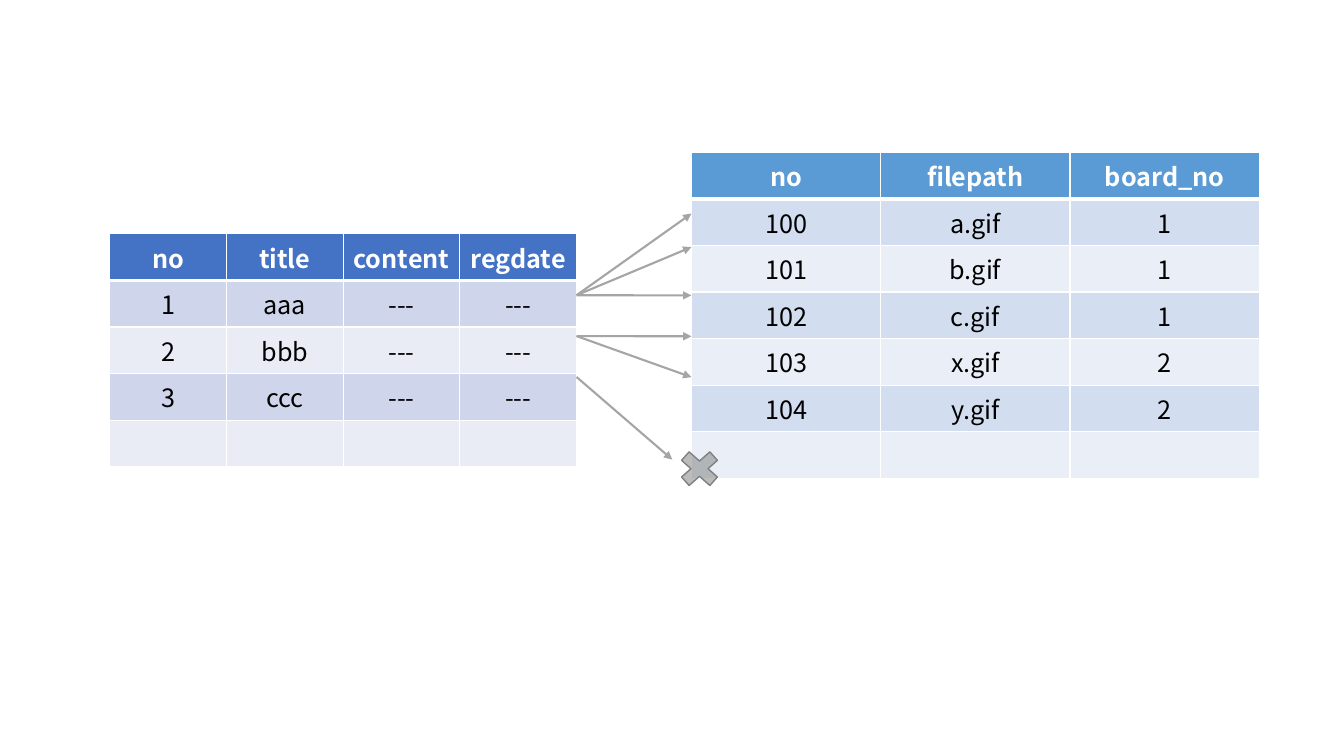
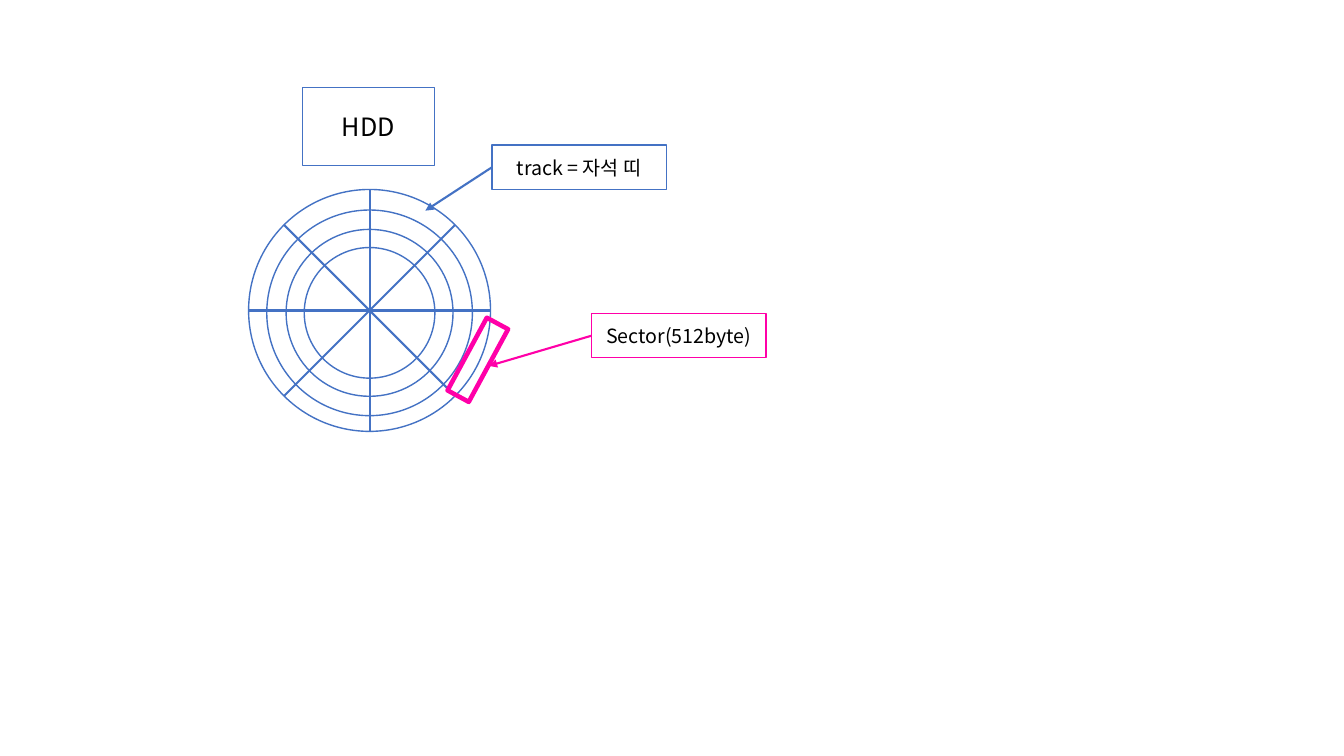
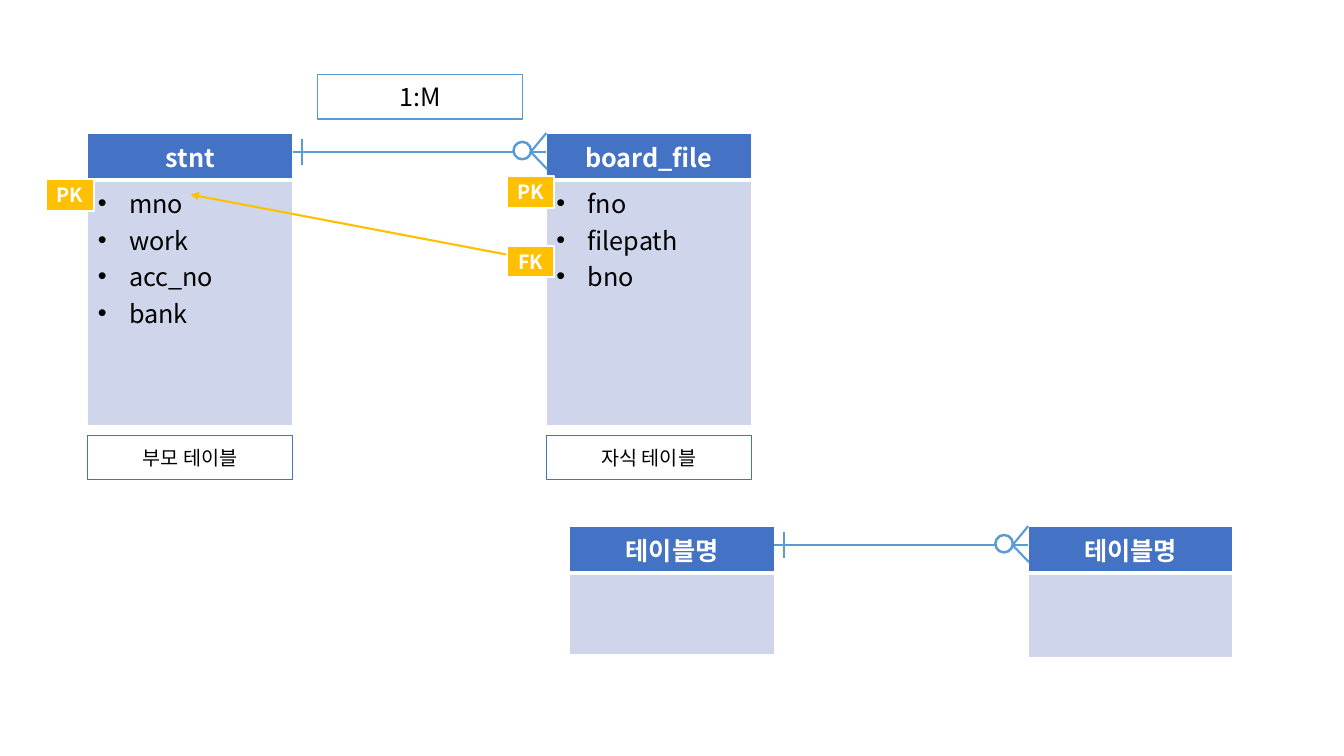
import math

import lxml.etree
import pptx
import pptx.dml.color
import pptx.enum.shapes
import pptx.enum.text
import pptx.oxml.ns
import pptx.text.text
import pptx.util

RGBColor = pptx.dml.color.RGBColor
SHAPE = pptx.enum.shapes.MSO_SHAPE
ALIGN = pptx.enum.text.PP_ALIGN
qn = pptx.oxml.ns.qn

# Shared style
WHITE = RGBColor(0xFF, 0xFF, 0xFF)
BLACK = RGBColor(0x00, 0x00, 0x00)
BLUE = RGBColor(0x44, 0x72, 0xC4)
SKY = RGBColor(0x5B, 0x9B, 0xD5)
SILVER = RGBColor(0xA5, 0xA5, 0xA5)
GRAY = RGBColor(0x80, 0x80, 0x80)
PINK = RGBColor(0xFF, 0x00, 0xA8)
AMBER = RGBColor(0xFF, 0xC0, 0x00)
BLUE_BANDS = (RGBColor(0xCF, 0xD5, 0xEA), RGBColor(0xE9, 0xEB, 0xF5))
SKY_BANDS = (RGBColor(0xD2, 0xDE, 0xEF), RGBColor(0xEA, 0xEF, 0xF7))
FONT = "Noto Sans CJK KR"

# Grid of 160 columns by 90 rows; every length below is counted in its cells
deck = pptx.Presentation()
deck.slide_width = pptx.util.Inches(13.333)
deck.slide_height = pptx.util.Inches(7.5)
COL = deck.slide_width / 160
ROW = deck.slide_height / 90
TABLE_ROW = 4.87
LABEL_H = 5.28


def place(*cells):
    """Turn alternating column and row counts into lengths."""
    return [round(n * (ROW if i % 2 else COL)) for i, n in enumerate(cells)]


def new_slide():
    return deck.slides.add_slide(deck.slide_layouts[6])


def write(frame, text, size=18, color=BLACK, bold=False, align=ALIGN.CENTER, bullet=False):
    """Write one paragraph per line of text."""
    for i, line in enumerate(text.split("\n")):
        paragraph = frame.add_paragraph() if i else frame.paragraphs[0]
        paragraph.alignment = align
        if line:
            run = paragraph.add_run()
            run.text = line
            font = run.font
        else:
            font = pptx.text.text.Font(paragraph._p.get_or_add_endParaRPr())
        font.size, font.bold, font.name = pptx.util.Pt(size), bold, FONT
        font.color.rgb = color
        lxml.etree.SubElement(font._rPr, qn("a:ea"), typeface=FONT)
        if bullet:
            indent = pptx.util.Inches(0.31)
            properties = paragraph._p.get_or_add_pPr()
            properties.set("marL", str(indent))
            properties.set("indent", str(-indent))
            lxml.etree.SubElement(properties, qn("a:buFont"), typeface="Arial")
            lxml.etree.SubElement(properties, qn("a:buChar"), char="•")


def draw(slide, kind, box, line, width=1, fill=WHITE, text="", **style):
    shape = slide.shapes.add_shape(kind, *place(*box))
    shape.shadow.inherit = False
    if fill is None:
        shape.fill.background()
    else:
        shape.fill.solid()
        shape.fill.fore_color.rgb = fill
    shape.line.color.rgb = line
    shape.line.width = pptx.util.Pt(width)
    if text:
        frame = shape.text_frame
        frame.margin_left = frame.margin_right = frame.margin_top = frame.margin_bottom = 0
        frame.vertical_anchor = pptx.enum.text.MSO_ANCHOR.MIDDLE
        write(frame, text, **style)
    return shape


def link(slide, start, end, color, arrow=False):
    straight = pptx.enum.shapes.MSO_CONNECTOR.STRAIGHT
    connector = slide.shapes.add_connector(straight, *place(*start, *end))
    connector.line.color.rgb = color
    connector.line.width = pptx.util.Pt(1.5)
    if arrow:
        lxml.etree.SubElement(connector.line._get_or_add_ln(), qn("a:tailEnd"), type="triangle")
    lxml.etree.SubElement(connector._element.spPr, qn("a:effectLst"))


def style_cell(cell, fill, top=1, bottom=1):
    properties = cell._tc.get_or_add_tcPr()
    for side, width in (("L", 1), ("R", 1), ("T", top), ("B", bottom)):
        border = lxml.etree.SubElement(properties, qn(f"a:ln{side}"), w=str(pptx.util.Pt(width)))
        solid = lxml.etree.SubElement(border, qn("a:solidFill"))
        lxml.etree.SubElement(solid, qn("a:srgbClr"), val=str(WHITE))
    cell.fill.solid()
    cell.fill.fore_color.rgb = fill


def grid_table(slide, box, records, heights, head, bands, **body_style):
    """A table with a heading row and banded rows below."""
    count = len(records[0])
    table = slide.shapes.add_table(len(records), count, *place(*box)).table
    for column in table.columns:
        column.width = round(box[2] * COL / count)
    for r, record in enumerate(records):
        table.rows[r].height = round(heights[r] * ROW)
        for c, text in enumerate(record):
            cell = table.cell(r, c)
            if r == 0:
                style_cell(cell, head, bottom=3)
                write(cell.text_frame, text, color=WHITE, bold=True)
            else:
                style_cell(cell, bands[(r - 1) % 2], top=3 if r == 1 else 1)
                write(cell.text_frame, text, **body_style)


def record_table(slide, box, records, head, bands):
    x, y, w = box
    heights = [TABLE_ROW] * len(records)
    grid_table(slide, (x, y, w, sum(heights)), records, heights, head, bands)


def disk(slide, box):
    """Concentric tracks cut by four diameters."""
    x, y, size = box
    cx, cy = x + size / 2, y + size / 2
    for share, drop in ((1, 0), (0.85, 0.01), (0.69, 0.01), (0.54, 0.01)):
        d = size * share
        draw(slide, SHAPE.OVAL, (cx - d / 2, cy - d / 2 + size * drop, d, d), BLUE)
    for degrees in (90, 45, 0, -45):
        dx = size / 2 * math.cos(math.radians(degrees))
        dy = size / 2 * math.sin(math.radians(degrees))
        link(slide, (cx - dx, cy - dy), (cx + dx, cy + dy), BLUE)


def callout(slide, corner, tip, text, color):
    """A label with an arrow from its left side."""
    x, y = corner
    link(slide, (x, y + LABEL_H / 2), tip, color, arrow=True)
    draw(slide, SHAPE.RECTANGLE, (x, y, 20.76, LABEL_H), color, text=text, size=14)


ENTITY_W = 24.4


def entity(slide, box, name, fields=""):
    """A heading over a list of fields."""
    x, y, h = box
    heights = (5.04, h - 5.04)
    style = dict(align=ALIGN.LEFT, bullet=bool(fields))
    grid_table(slide, (x, y, ENTITY_W, h), [[name], [fields]], heights, BLUE, BLUE_BANDS, **style)


def relation(slide, box):
    """One-to-many line, level with the headings of two entities."""
    left, right, top = box
    y = top + 2.25
    fork = right - 1.85
    link(slide, (left, y), (right, y), SKY)
    link(slide, (left + 1.15, y - 1.56), (left + 1.15, y + 1.56), SKY)
    link(slide, (right, top), (fork, y), SKY)
    link(slide, (fork, y), (right + 0.1, y + 2.05), SKY)
    draw(slide, SHAPE.OVAL, (fork - 2.05, y - 1.2, 2.08, 2.08), SKY, width=1.75)


def key_tag(slide, corner, text):
    draw(slide, SHAPE.RECTANGLE, (*corner, 5.64, 3.72), WHITE, width=1.5, fill=AMBER,
         text=text, size=14, color=WHITE, bold=True)


# Slide 1: posts and their files
posts = new_slide()
post_x, post_y, post_w = post_box = (13.08, 27.84, 55.56)
file_x, file_y, file_w = file_box = (82.32, 18.12, 67.6)
record_table(posts, post_box, [
    ("no", "title", "content", "regdate"),
    ("1", "aaa", "---", "---"),
    ("2", "bbb", "---", "---"),
    ("3", "ccc", "---", "---"),
    ("",) * 4,
], BLUE, BLUE_BANDS)
record_table(posts, file_box, [
    ("no", "filepath", "board_no"),
    ("100", "a.gif", "1"),
    ("101", "b.gif", "1"),
    ("102", "c.gif", "1"),
    ("103", "x.gif", "2"),
    ("104", "y.gif", "2"),
    ("",) * 3,
], SKY, SKY_BANDS)

# Arrows from table row to table row
post_right = post_x + post_w
for post_row, file_row in ((1.5, 1.5), (1.5, 2.32), (1.5, 3.5), (2.5, 4.5), (2.5, 5.5)):
    link(posts, (post_right, post_y + post_row * TABLE_ROW),
         (file_x, file_y + file_row * TABLE_ROW), SILVER, arrow=True)
link(posts, (post_right, post_y + 3.5 * TABLE_ROW), (80.04, 54.72), SILVER, arrow=True)
no_match = draw(posts, SHAPE.MATH_MULTIPLY, (80.04, 52.92, 6.48, 5.76), GRAY, fill=GRAY)
tint = no_match._element.spPr.find(qn("a:solidFill")).find(qn("a:srgbClr"))
lxml.etree.SubElement(tint, qn("a:alpha"), val="52000")

# Slide 2: tracks and sectors of a hard disk
hdd = new_slide()
disk(hdd, (29.6, 22.56, 28.8))
draw(hdd, SHAPE.RECTANGLE, (36, 10.44, 15.72, 9.24), BLUE, text="HDD")
callout(hdd, (58.56, 17.28), (50.64, 25.08), "track = 자석 띠", BLUE)
sector = draw(hdd, SHAPE.RECTANGLE, (55.44, 37.92, 2.88, 9.84), PINK, width=3.25, fill=None)
sector.rotation = 28.4
callout(hdd, (70.44, 37.32), (58.2, 43.56), "Sector(512byte)", PINK)

# Slide 3: parent and child tables
schema = new_slide()
parent_x, child_x, top = 10.44, 65.04, 15.84
entity(schema, (parent_x, top, 34.32), "stnt", "mno\nwork\nacc_no\nbank")
entity(schema, (child_x, top, 34.32), "board_file", "fno\nfilepath\nbno")
link(schema, (child_x, 31.2), (22.68, 23.16), AMBER, arrow=True)
for x, caption in ((parent_x, "부모 테이블"), (child_x, "자식 테이블")):
    draw(schema, SHAPE.RECTANGLE, (x, top + 36, ENTITY_W, LABEL_H), BLUE, text=caption, size=14)
for corner, key in (((5.52, 21.36), "PK"), ((60.36, 21), "PK"), ((60.36, 29.28), "FK")):
    key_tag(schema, corner, key)
relation(schema, (parent_x + ENTITY_W, child_x, top))
draw(schema, SHAPE.RECTANGLE, (37.8, 8.88, ENTITY_W, LABEL_H), SKY, text="1:M")

# Legend with unnamed tables
one_x, many_x, legend_top = 67.8, 122.4, 62.64
entity(schema, (one_x, legend_top, 14.76), "테이블명")
entity(schema, (many_x, legend_top, 15.12), "테이블명")
relation(schema, (one_x + ENTITY_W, many_x, legend_top))

deck.save("out.pptx")
